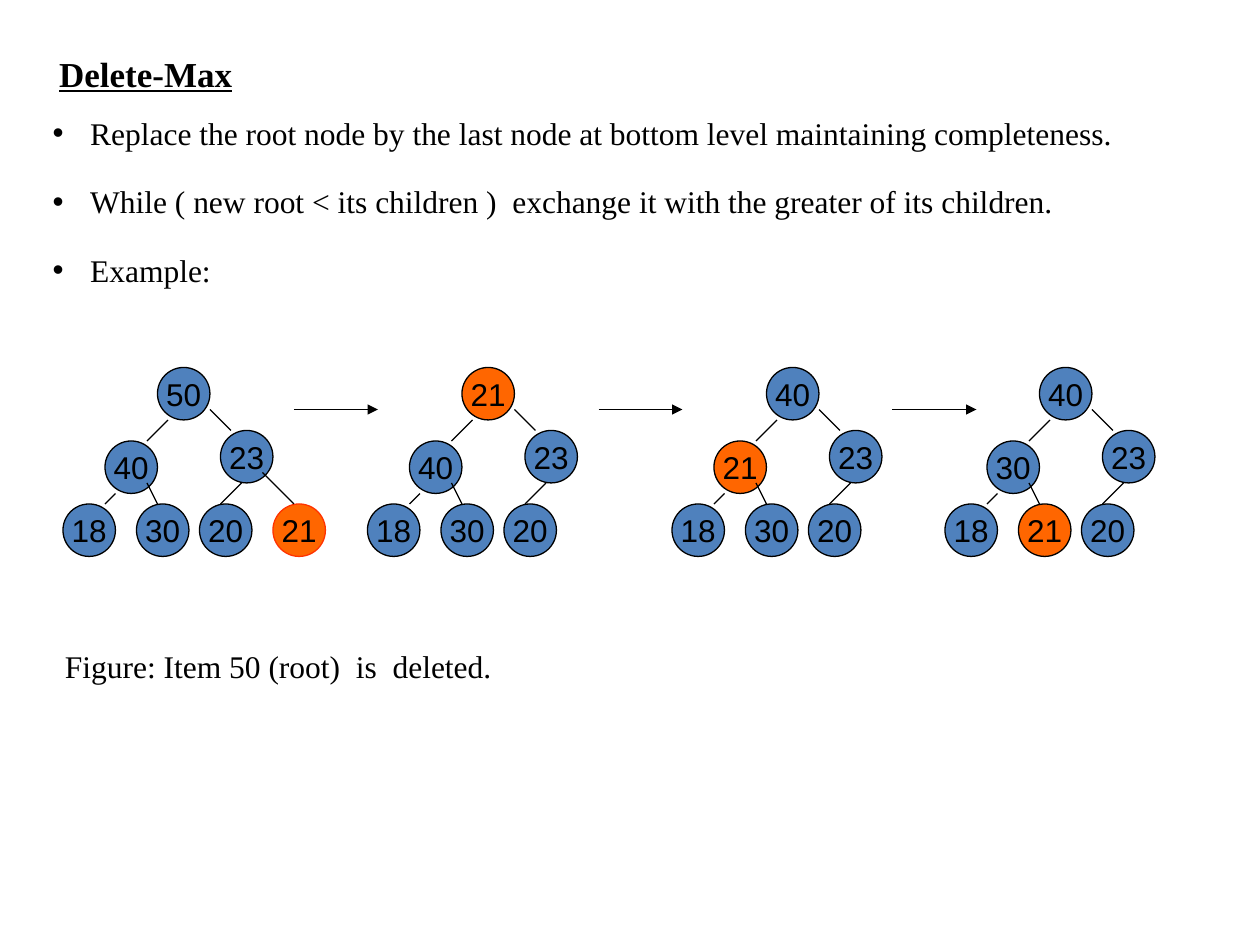
from lxml import etree
from pptx import Presentation
from pptx.dml.color import RGBColor
from pptx.enum.shapes import MSO_CONNECTOR, MSO_SHAPE
from pptx.enum.text import MSO_ANCHOR, MSO_AUTO_SIZE, PP_ALIGN
from pptx.oxml.ns import qn
from pptx.util import Pt

LEFT, CENTER = PP_ALIGN.LEFT, PP_ALIGN.CENTER
TOP, MIDDLE = MSO_ANCHOR.TOP, MSO_ANCHOR.MIDDLE
STRAIGHT, OVAL = MSO_CONNECTOR.STRAIGHT, MSO_SHAPE.OVAL
NO_AUTO_SIZE = MSO_AUTO_SIZE.NONE

COLORS = {"ink": "000000", "node": "4F81BD", "moved": "FF6600", "moved_line": "FF3300"}
SERIF, SANS = "Times New Roman", "Arial"

TITLE = "Delete-Max"
STEPS = [
    "Replace the root node by the last node at bottom level maintaining completeness.",
    "While ( new root < its children )  exchange it with the greater of its children.",
    "Example:",
]
CAPTION = "Figure: Item 50 (root)  is  deleted."

TREES = [
    {"left": 36, "values": [50, 40, 23, 18, 30, 20, 21], "moved": 6},
    {"left": 210, "values": [21, 40, 23, 18, 30, 20], "moved": 0},
    {"left": 384, "values": [40, 21, 23, 18, 30, 20], "moved": 1},
    {"left": 540, "values": [40, 30, 23, 18, 21, 20], "moved": 4},
]
TREE_TOP = 210
NODE_SIZE = 30
NODE_PLACES = [(54, 0), (24, 42), (90, 36), (0, 78), (42, 78), (78, 78), (120, 78)]
EDGES = [
    (60, 30, 48, 42),
    (84, 24, 96, 36),
    (30, 72, 24, 78),
    (48, 66, 54, 78),
    (102, 66, 90, 78),
    (132, 78, 114, 60),
]
ARROW_LEFTS = [168, 342, 510]
ARROW_TOP, ARROW_LENGTH = 234, 48
BULLET_INDENT = 21.5


def color(name):
    return RGBColor.from_string(COLORS[name])


def add_bullet(paragraph):
    properties = paragraph._p.get_or_add_pPr()
    properties.set("marL", str(Pt(BULLET_INDENT)))
    properties.set("indent", str(-Pt(BULLET_INDENT)))
    etree.SubElement(properties, qn("a:buFont"), typeface=SANS)
    etree.SubElement(properties, qn("a:buChar"), char="•")


def write(shape, *lines, font=SERIF, size=18, align=LEFT, anchor=TOP, wrap=True,
          bold=False, underline=False, bullet=False, spacing=None, gap=0):
    frame = shape.text_frame
    frame.auto_size = NO_AUTO_SIZE
    frame.word_wrap = wrap
    frame.vertical_anchor = anchor
    for index, line in enumerate(lines):
        paragraph = frame.add_paragraph() if index else frame.paragraphs[0]
        paragraph.text = line
        paragraph.alignment = align
        if spacing:
            paragraph.line_spacing = spacing
        if index:
            paragraph.space_before = Pt(gap)
        if bullet:
            add_bullet(paragraph)
        for run in paragraph.runs:
            run.font.name = font
            run.font.size = Pt(size)
            run.font.bold = bold
            run.font.underline = underline
            run.font.color.rgb = color("ink")


def add_line(shapes, x1, y1, x2, y2, arrow=False):
    connector = shapes.add_connector(STRAIGHT, Pt(x1), Pt(y1), Pt(x2), Pt(y2))
    connector.line.color.rgb = color("ink")
    connector.line.width = Pt(0.75)
    if arrow:
        etree.SubElement(connector.line._get_or_add_ln(), qn("a:tailEnd"), type="triangle")
    etree.SubElement(connector._element.spPr, qn("a:effectLst"))


def add_node(shapes, value, left, top, fill, line):
    node = shapes.add_shape(OVAL, Pt(left), Pt(top), Pt(NODE_SIZE), Pt(NODE_SIZE))
    node.shadow.inherit = False
    node.fill.solid()
    node.fill.fore_color.rgb = color(fill)
    node.line.color.rgb = color(line)
    node.line.width = Pt(0.75)
    write(node, str(value), font=SANS, align=CENTER, anchor=MIDDLE, wrap=False)


def add_tree(slide, left, values, moved):
    shapes = slide.shapes.add_group_shape().shapes
    for index, (value, (x, y)) in enumerate(zip(values, NODE_PLACES)):
        fill = "moved" if index == moved else "node"
        line = "moved_line" if index == 6 else "ink"
        add_node(shapes, value, left + x, TREE_TOP + y, fill, line)
    for x1, y1, x2, y2 in EDGES[:len(values) - 1]:
        add_line(shapes, left + x1, TREE_TOP + y1, left + x2, TREE_TOP + y2)


def main():
    presentation = Presentation()
    presentation.slide_width, presentation.slide_height = Pt(720), Pt(540)
    slide = presentation.slides.add_slide(presentation.slide_layouts[5])

    title = slide.shapes.title
    title.left, title.top, title.width, title.height = Pt(26.6), Pt(26), Pt(590), Pt(31.5)
    write(title, TITLE, size=20, anchor=MIDDLE, bold=True, underline=True)

    steps = slide.shapes.add_textbox(Pt(23), Pt(55), Pt(684), Pt(203))
    write(steps, *STEPS, bullet=True, spacing=1.3, gap=11.2)

    for tree in TREES:
        add_tree(slide, **tree)
    for left in ARROW_LEFTS:
        add_line(slide.shapes, left, ARROW_TOP, left + ARROW_LENGTH, ARROW_TOP, arrow=True)

    caption = slide.shapes.add_textbox(Pt(30), Pt(366), Pt(342), Pt(29))
    write(caption, CAPTION)

    presentation.save("out.pptx")


if __name__ == "__main__":
    main()
